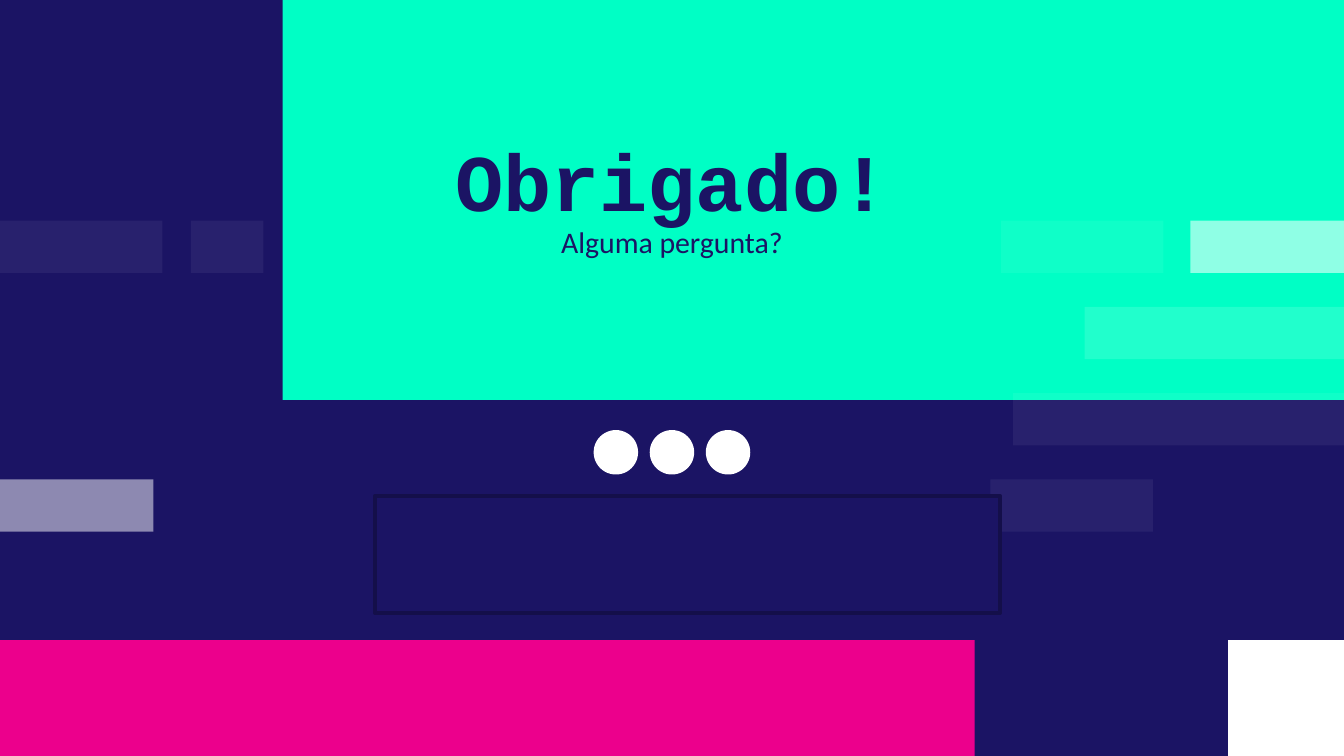
"""Builds the closing slide: a thank-you panel over rows of pale bars."""
from lxml import etree
from pptx import Presentation
from pptx import util as u
from pptx.dml.color import RGBColor
from pptx.enum import shapes, text
from pptx.oxml import ns

NAVY, MINT, PINK, WHITE, EDGE = "1B1464", "00FFC5", "EC008C", "FFFFFF", "140F4A"


def tint(code):
    return RGBColor.from_string(code)


def write(frame, words, font="Calibri", size=16, color=NAVY, bold=False,
          space=1.0, inset=0.25):
    frame.word_wrap = True
    frame.auto_size = text.MSO_AUTO_SIZE.NONE
    frame.vertical_anchor = text.MSO_ANCHOR.TOP
    frame.margin_left = frame.margin_right = frame.margin_bottom = u.Cm(0.25)
    frame.margin_top = u.Cm(inset)
    para = frame.paragraphs[0]
    para.alignment = text.PP_ALIGN.CENTER
    para.line_spacing = space
    para.space_before = u.Pt(0)
    run = para.add_run()
    run.text = words
    run.font.name = font
    run.font.size = u.Pt(size)
    run.font.bold = bold
    run.font.color.rgb = tint(color)


class Deck:
    """Holds the style and the current slide."""

    def __init__(self, wide, high, back):
        self.file = Presentation()
        self.file.slide_width, self.file.slide_height = u.Cm(wide), u.Cm(high)
        self.slide = self.file.slides.add_slide(self.file.slide_layouts[0])
        fill = self.slide.background.fill
        fill.solid()
        fill.fore_color.rgb = tint(back)

    def block(self, x, y, w, h, color, alpha=100, line=None, kind="RECTANGLE"):
        shape = self.slide.shapes.add_shape(
            shapes.MSO_SHAPE[kind], u.Cm(x), u.Cm(y), u.Cm(w), u.Cm(h))
        shape.shadow.inherit = False
        shape.fill.solid()
        shape.fill.fore_color.rgb = tint(color)
        if alpha < 100:
            node = shape.element.find(".//" + ns.qn("a:srgbClr"))
            etree.SubElement(node, ns.qn("a:alpha"), val=str(alpha * 1000))
        if line:
            shape.line.color.rgb = tint(line)
            shape.line.width = u.Pt(2)
        else:
            shape.line.fill.background()

    def holder(self, index, x, y, w, h, words, **style):
        shape = self.slide.placeholders[index]
        shape.left, shape.top = u.Cm(x), u.Cm(y)
        shape.width, shape.height = u.Cm(w), u.Cm(h)
        write(shape.text_frame, words, **style)
        shape.element.getparent().append(shape.element)

    def save(self):
        self.file.save("out.pptx")


def main():
    deck = Deck(25.4, 14.29, NAVY)
    deck.block(0, 12.1, 18.42, 2.19, PINK)
    deck.block(23.21, 12.1, 2.19, 2.19, WHITE)
    deck.block(5.34, 0, 20.06, 7.56, MINT)

    bars = [(1, 20.5, 4.9, 13), (0, 18.92, 3.07, 6), (2, 19.15, 6.25, 6),
            (0, 22.5, 2.9, 56), (3, 18.72, 3.07, 6), (3, 0, 2.9, 50),
            (0, 0, 3.07, 6), (0, 3.61, 1.37, 6)]
    for row, x, w, alpha in bars:
        deck.block(x, 4.17 + 1.63 * row, w, 0.99, WHITE, alpha)

    deck.holder(0, 8.2, 1.96, 9, 1.85, "Obrigado!",
                font="Courier New", size=43, bold=True, space=1.15)
    deck.holder(1, 8.2, 4.22, 9, 3.35, "Alguma pergunta?", inset=0)

    for i in range(3):
        deck.block(11.22 + 1.06 * i, 8.13, 0.84, 0.84, WHITE, kind="OVAL")
    deck.block(7.09, 9.37, 11.81, 2.22, NAVY, line=EDGE)
    deck.save()


if __name__ == "__main__":
    main()
